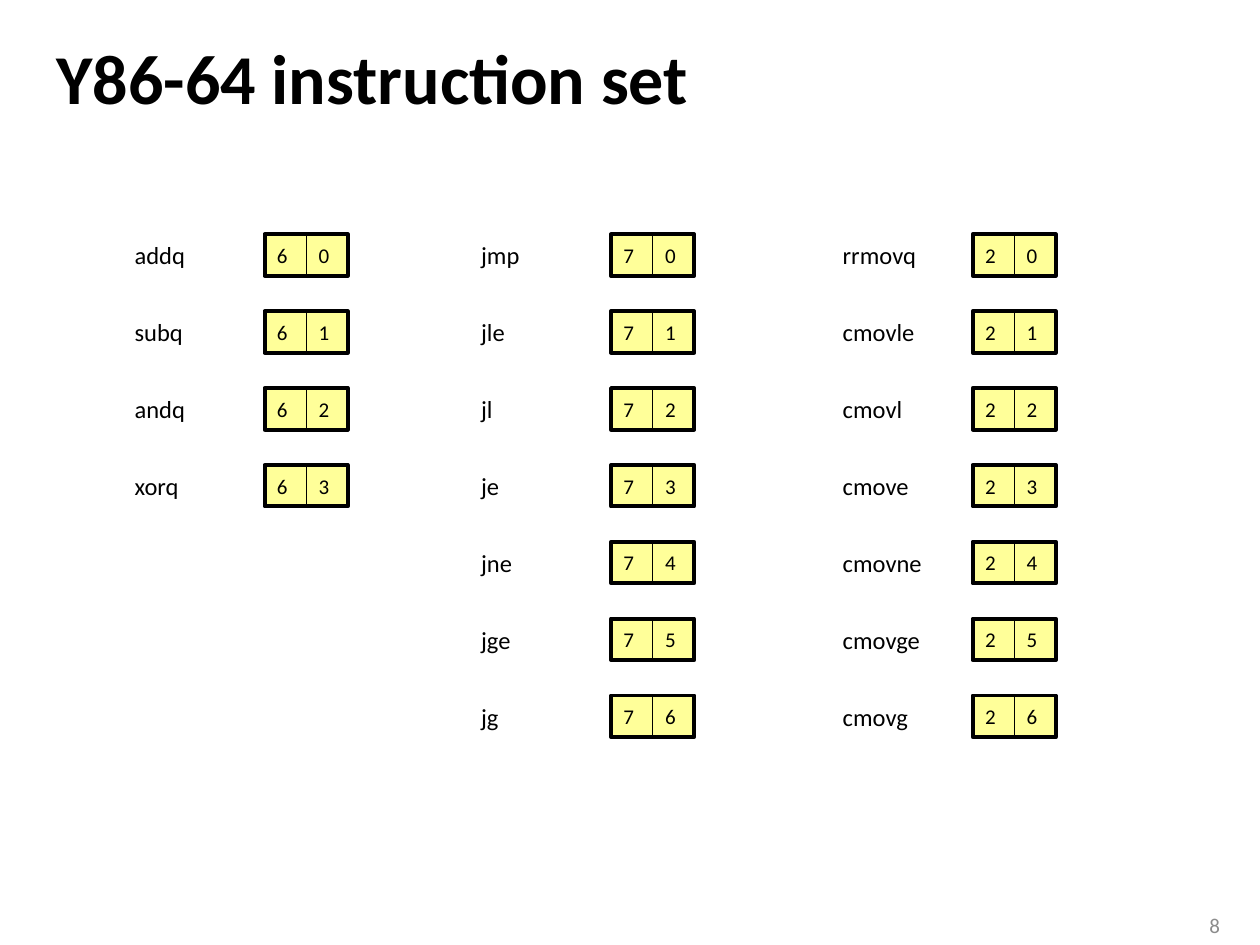
from pptx import Presentation
from pptx.dml.color import RGBColor
from pptx.enum.shapes import MSO_SHAPE
from pptx.enum.text import MSO_ANCHOR, PP_ALIGN
from pptx.util import Inches, Pt

# (left edge, instruction code, mnemonics in order of function code)
FAMILIES = [
    (0.97, 6, ["addq", "subq", "andq", "xorq"]),
    (3.72, 7, ["jmp", "jle", "jl", "je", "jne", "jge", "jg"]),
    (6.59, 2, ["rrmovq", "cmovle", "cmovl", "cmove", "cmovne", "cmovge", "cmovg"]),
]
FIRST_ROW, ROW_STEP = 1.86, 0.61
LABEL_WIDTH, CELL_WIDTH, ROW_HEIGHT = 1.13, 0.33, 0.33


def color(hex_code):
    return RGBColor.from_string(hex_code)


class SlideBuilder:
    FONT = "Calibri"
    INK, PAPER, CELL_FILL, MUTED = "000000", "FFFFFF", "FFFF99", "8C8C8C"

    def __init__(self, slide):
        self.slide = slide

    def set_text(self, frame, text, size, ink=INK, bold=False, align=PP_ALIGN.LEFT, wrap=False):
        frame.word_wrap = wrap
        frame.vertical_anchor = MSO_ANCHOR.MIDDLE
        paragraph = frame.paragraphs[0]
        paragraph.text = text
        paragraph.alignment = align
        font = paragraph.font
        font.name, font.size, font.bold = self.FONT, Pt(size), bold
        font.color.rgb = color(ink)
        return paragraph

    def text_box(self, left, top, width, height, text, size, **style):
        box = self.slide.shapes.add_textbox(
            Inches(left), Inches(top), Inches(width), Inches(height))
        return self.set_text(box.text_frame, text, size, wrap=True, **style)

    def rectangle(self, group, left, top, width, fill=None, line=None):
        box = group.shapes.add_shape(
            MSO_SHAPE.RECTANGLE, Inches(left), Inches(top), Inches(width), Inches(ROW_HEIGHT))
        box.shadow.inherit = False
        if fill:
            box.fill.solid()
            box.fill.fore_color.rgb = color(fill)
        else:
            box.fill.background()
        if line:
            box.line.color.rgb = color(self.INK)
            box.line.width = Pt(line)
        else:
            box.line.fill.background()
        return box

    def instruction(self, left, top, mnemonic, digits):
        """Group a mnemonic with its framed row of code digits."""
        group = self.slide.shapes.add_group_shape()
        label = self.rectangle(group, left, top, LABEL_WIDTH, fill=self.PAPER)
        self.set_text(label.text_frame, mnemonic, 14)
        code_left = left + LABEL_WIDTH
        for index, digit in enumerate(digits):
            cell = self.rectangle(group, code_left + index * CELL_WIDTH, top, CELL_WIDTH,
                                  fill=self.CELL_FILL, line=0.5)
            self.set_text(cell.text_frame, str(digit), 12)
        self.rectangle(group, code_left, top, len(digits) * CELL_WIDTH, line=2.25)


def main():
    presentation = Presentation()
    presentation.slide_width, presentation.slide_height = Inches(10), Inches(7.5)
    builder = SlideBuilder(presentation.slides.add_slide(presentation.slide_layouts[6]))

    title = builder.text_box(0.35, 0.19, 9.29, 0.92, "Y86-64 instruction set", 40, bold=True)
    title.line_spacing = 0.9
    builder.text_box(9.27, 7.19, 0.51, 0.31, "8", 12, ink=builder.MUTED, align=PP_ALIGN.RIGHT)

    for left, code, mnemonics in FAMILIES:
        for function, mnemonic in enumerate(mnemonics):
            builder.instruction(left, FIRST_ROW + function * ROW_STEP,
                                mnemonic, (code, function))

    presentation.save("out.pptx")


if __name__ == "__main__":
    main()
